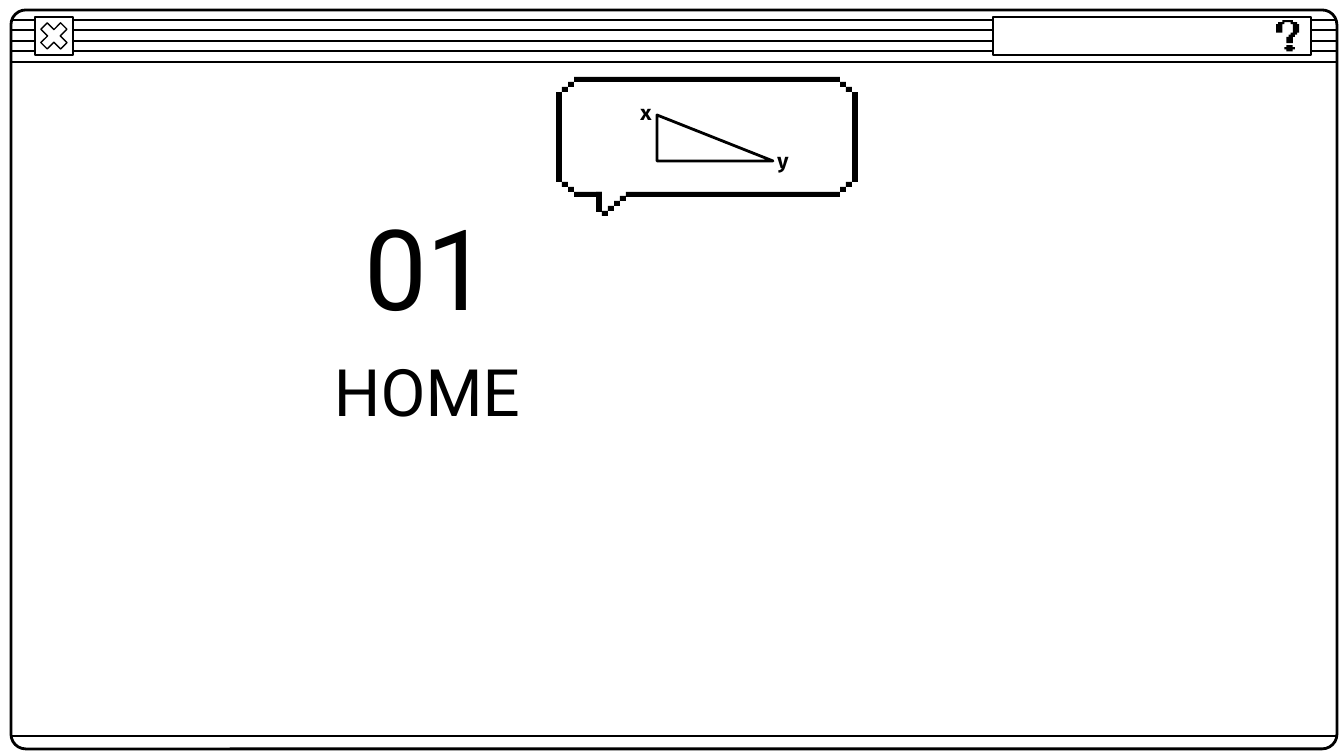
from pptx import Presentation
from pptx.dml.color import RGBColor
from pptx.enum.shapes import MSO_CONNECTOR as LINE, MSO_SHAPE as SHAPE
from pptx.enum.text import MSO_ANCHOR as ANCHOR, MSO_AUTO_SIZE as AUTO, PP_ALIGN as ALIGN
from pptx.oxml.ns import qn
from pptx.util import Emu, Pt
from lxml import etree

PX = 914400 / 134.4
COLORS = {"ink": "000000", "paper": "FFFFFF"}
HOOK = [(3, 0), (3, 1), (1, 1), (1, 2), (0, 2), (0, 6), (3, 6), (3, 2), (4, 2), (4, 1),
        (7, 1), (7, 2), (8, 2), (8, 6), (7, 6), (7, 7), (6, 7), (6, 8), (5, 8), (5, 11),
        (8, 11), (8, 8), (9, 8), (9, 7), (10, 7), (10, 6), (11, 6), (11, 2), (10, 2),
        (10, 1), (8, 1), (8, 0)]
DOT = [(5, 12), (5, 13), (4, 13), (4, 14), (5, 14), (5, 15), (8, 15), (8, 14), (9, 14),
       (9, 13), (8, 13), (8, 12)]


def px(n):
    """Turn pixels into EMU."""
    return Emu(round(n * PX))


def color(name):
    """Look up a colour by name."""
    return RGBColor.from_string(COLORS[name])


def paint(sp, fill=None, line=None):
    """Set fill and line width, with no shadow."""
    sp.shadow.inherit = False
    if fill:
        sp.fill.solid()
        sp.fill.fore_color.rgb = color(fill)
    else:
        sp.fill.background()
    if line:
        sp.line.color.rgb = color("ink")
        sp.line.width = Pt(line)
    else:
        sp.line.fill.background()
    return sp


def add_shape(slide, kind, x, y, w, h, fill=None, line=None):
    """Add a painted preset shape."""
    return paint(slide.shapes.add_shape(kind, px(x), px(y), px(w), px(h)), fill, line)


def add_rule(slide, x, y, w):
    """Add a thin horizontal line."""
    rule = slide.shapes.add_connector(LINE.STRAIGHT, px(x), px(y), px(x + w), px(y))
    rule.line.color.rgb = color("ink")
    rule.line.width = Pt(0.75)
    etree.SubElement(rule._element.spPr, qn("a:effectLst"))


def write(sp, text, font, size, bold=False, anchor=ANCHOR.MIDDLE):
    """Write one centred run into a shape."""
    tf = sp.text_frame
    tf.word_wrap = True
    tf.auto_size = AUTO.NONE
    tf.vertical_anchor = anchor
    tf.margin_left = tf.margin_right = tf.margin_top = tf.margin_bottom = px(13)
    p = tf.paragraphs[0]
    p.alignment = ALIGN.CENTER
    r = p.add_run()
    r.text = text
    r.font.name, r.font.size, r.font.bold = font, Pt(size), bold
    r.font.color.rgb = color("ink")


def add_label(slide, x, y, w, h, *args, **kwargs):
    """Add a text box with one run."""
    write(slide.shapes.add_textbox(px(x), px(y), px(w), px(h)), *args, **kwargs)


def question_mark(slide, x, y, cell=2.1):
    """Draw a pixel question mark on a grid of square cells."""
    for points in (HOOK, DOT):
        fb = slide.shapes.build_freeform(*points[0], scale=cell * PX)
        fb.add_line_segments(points[1:])
        paint(fb.convert_to_shape(px(x), px(y)), "ink")


def window(slide, x, y, w, h):
    """Draw the window frame, its striped title bar and its buttons."""
    for i in range(5):
        add_rule(slide, x, y + 10 + round(10.4 * i), w)
    frame = add_shape(slide, SHAPE.ROUNDED_RECTANGLE, x, y, w, h, line=1.5)
    frame.adjustments[0] = 0.02
    for kind in (SHAPE.RECTANGLE, SHAPE.MATH_MULTIPLY):
        add_shape(slide, kind, x + 24, y + 7, 38, 38, "paper", 0.75)
    add_rule(slide, x, y + h - 13, w)
    add_shape(slide, SHAPE.RECTANGLE, x + w - 344, y + 7, 318, 38, "paper", 0.75)
    question_mark(slide, x + w - 61, y + 10)


def heading(slide, x, y, w, h):
    """Place the section number above the section title."""
    title = slide.shapes.title
    title.left, title.top, title.width, title.height = px(x), px(y + h), px(w), px(h)
    write(title, "HOME", "Roboto", 35)
    add_label(slide, x + 160, y, 464, h, "01", "Roboto", 60)


def bubble(slide, x, y, w, h):
    """Draw the pixel speech bubble with a labelled triangle inside."""
    cw, ch = 6, 5
    tail = 40
    blocks = [(3 * cw, 0, w - 6 * cw, ch),
              (3 * cw, h - ch, tail - 2 * cw, ch),
              (tail + 5 * cw, h - ch, w - tail - 8 * cw, ch),
              (tail, h - ch, cw, 4 * ch)]
    blocks += [(bx, 3 * ch, cw, h - 6 * ch) for bx in (0, w - cw)]
    blocks += [(bx, by, cw, ch) for i in (1, 2)
               for bx in (i * cw, w - (i + 1) * cw)
               for by in ((3 - i) * ch, h - (4 - i) * ch)]
    blocks += [(tail + i * cw, h + (4 - i) * ch - ch // 5, cw, ch) for i in range(1, 5)]
    for bx, by, bw, bh in blocks:
        add_shape(slide, SHAPE.RECTANGLE, x + bx, y + by, bw, bh, "ink")
    add_shape(slide, SHAPE.RIGHT_TRIANGLE, x + 101, y + 38, 116, 46, line=1.5)
    add_label(slide, x + 65, y + 10, 50, 52, "x", "Fira Code", 11, True, ANCHOR.TOP)
    add_label(slide, x + 202, y + 57, 50, 52, "y", "Fira Code", 11, True)


def main():
    """Build and save the slide."""
    prs = Presentation()
    prs.slide_width, prs.slide_height = px(1344), px(756)
    slide = prs.slides.add_slide(prs.slide_layouts[5])
    window(slide, 11, 10, 1326, 739)
    heading(slide, 35, 204, 784, 124)
    bubble(slide, 556, 77, 302, 120)
    prs.save("out.pptx")


main()
